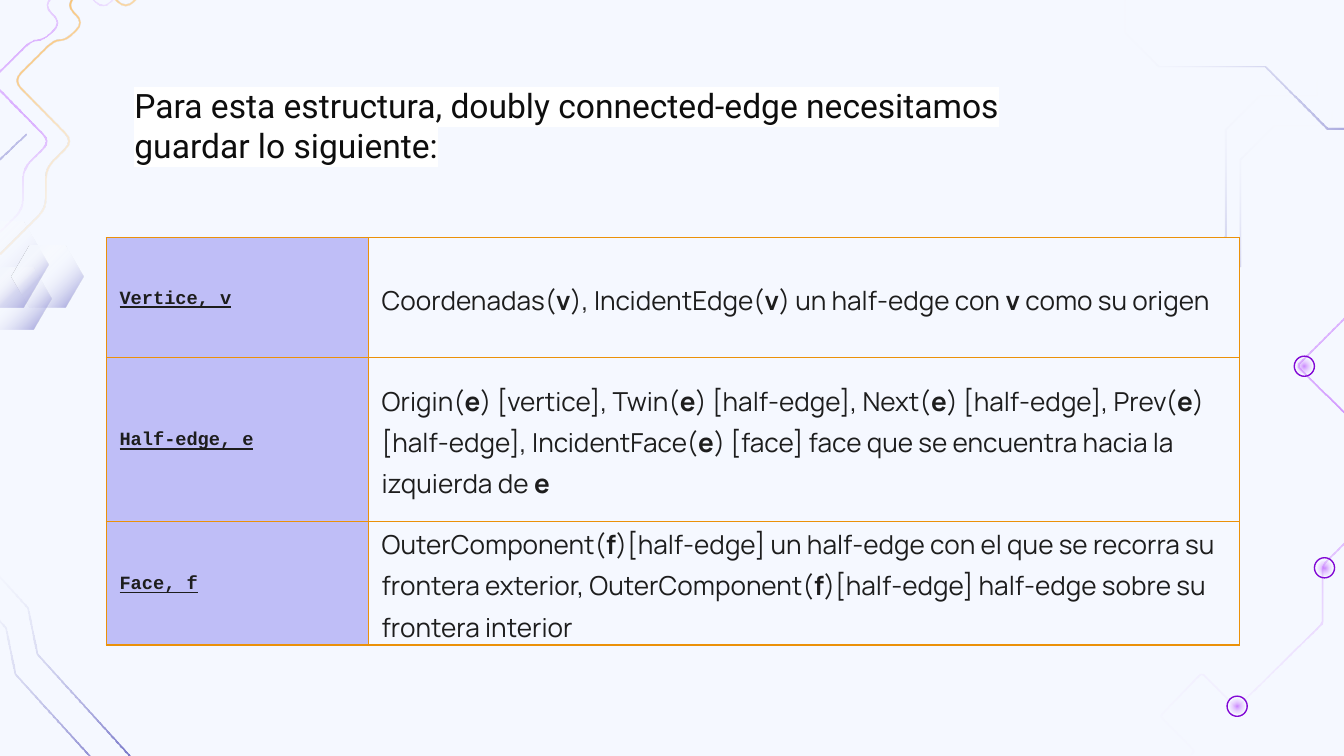
import math

from lxml import etree
from pptx import Presentation
from pptx.dml.color import RGBColor
from pptx.enum import shapes as kinds, text as txt
from pptx.oxml import parse_xml
from pptx.oxml.ns import nsdecls, qn
from pptx.util import Inches, Pt

PAPER = RGBColor(0xF5, 0xF8, 0xFF)
WHITE = RGBColor(0xFF, 0xFF, 0xFF)
NAVY = RGBColor(0x0C, 0x0A, 0x9E)
VIOLET = RGBColor(0x99, 0x00, 0xFF)
RING = RGBColor(0x82, 0x08, 0xD5)
ORANGE = RGBColor(0xEB, 0x91, 0x09)
AMBER = RGBColor(0xFF, 0x99, 0x00)
LILAC = RGBColor(0xBF, 0xBE, 0xF7)
INK = RGBColor(0x1D, 0x1D, 0x1D)
BLACK = RGBColor(0x0D, 0x0D, 0x0D)

# Gradients: stops of (position, colour, opacity), then an angle or None for radial
CLEAR = (100, WHITE, 0)
FADE = ([(0, NAVY, 100), CLEAR], 90)
SLANT = ([(0, NAVY, 37), CLEAR], 45)
GLOW = ([(0, VIOLET, 47), CLEAR], None)
AMBERS = ([(0, ORANGE, 100), (40, AMBER, 41), CLEAR], 45)
FACET = ([(0, PAPER, 100), (22, PAPER, 100), (45, WHITE, 0), (100, NAVY, 50)], 45)

# Centre lines in inches, relative to each wire's box
TRACE = [(1.54, 0), (1.14, .4), (1.14, 1.46), (.68, 1.92), (.68, 2.71),
         (.43, 2.96), (0, 2.96), (0, 3.09)]
BEND = [(.43, 0), (.18, .4), (.18, 1.63), (0, 1.93), (0, 2.47)]
HOOK = [(0, .31), (.3, .02), (.3, .59), (.52, .59), (.52, 1.11)]
SNAKE = [(.58, 0), (1.1, .53), (.93, .7), (.69, .47), (.49, .67), (.62, .8),
         (.49, .93), (.4, .93), (.1, 1.23), (.54, 1.68), (.34, 1.88),
         (.34, 2.18), (0, 2.52)]
CIRCUIT = [(3.44, 0), (2.82, .63), (3.16, .97), (2.07, 2.06), (1.72, 1.72),
           (1.02, 2.42), (1.86, 3.25), (1.21, 3.9), (1.21, 4.33), (.57, 4.96),
           (.31, 4.7), (0, 5.02), (.26, 5.28), (.13, 5.41), (.26, 5.54),
           (.21, 5.59), (.17, 5.54)]

ROWS = [
    (.89, "Vertice, v",
     "Coordenadas(*v*), IncidentEdge(*v*) un half-edge con *v* como su origen"),
    (1.22, "Half-edge, e",
     "Origin(*e*) [vertice], Twin(*e*) [half-edge], Next(*e*) [half-edge], "
     "Prev(*e*) [half-edge], IncidentFace(*e*) [face] face que se encuentra "
     "hacia la izquierda de *e*"),
    (.89, "Face, f",
     "OuterComponent(*f*)[half-edge] un half-edge con el que se recorra su "
     "frontera exterior, OuterComponent(*f*)[half-edge] half-edge sobre su "
     "frontera interior"),
]


def put(obj, **vals):
    for key, val in vals.items():
        setattr(obj, key, val)


def shade(shape, grad):
    """Fill with a gradient, without outline or shadow."""
    stops, angle = grad
    marks = "".join(
        f'<a:gs pos="{pos * 1000}"><a:srgbClr val="{hue}">'
        f'<a:alpha val="{alpha * 1000}"/></a:srgbClr></a:gs>'
        for pos, hue, alpha in stops)
    if angle is None:
        way = ('<a:path path="circle"><a:fillToRect l="50000" t="50000" '
               'r="50000" b="50000"/></a:path>')
    else:
        way = f'<a:lin ang="{angle * 60000}" scaled="0"/>'
    shape.shadow.inherit = False
    shape.line.fill.background()
    shape.fill.background()
    old = shape._element.spPr.find(qn("a:noFill"))
    old.getparent().replace(old, parse_xml(
        f'<a:gradFill {nsdecls("a")} rotWithShape="1">'
        f'<a:gsLst>{marks}</a:gsLst>{way}</a:gradFill>'))


def soften(pts, cut):
    """Round the inner corners of a polyline."""
    out = [pts[0]]
    for a, b, c in zip(pts, pts[1:], pts[2:]):
        ends = []
        for p in (a, c):
            size = math.dist(p, b)
            k = min(cut, size / 2) / size
            ends.append([b[i] + (p[i] - b[i]) * k for i in (0, 1)])
        for t in (0, .25, .5, .75, 1):
            out.append([(1 - t) ** 2 * ends[0][i] + 2 * t * (1 - t) * b[i]
                        + t * t * ends[1][i] for i in (0, 1)])
    return out + [pts[-1]]


def edge(pts, half):
    """Offset a polyline sideways, with mitred corners."""
    dirs = [math.atan2(q[1] - p[1], q[0] - p[0])
            for p, q in zip(pts, pts[1:]) if math.dist(p, q) > 1e-6]
    pts = [p for p, q in zip(pts, pts[1:]) if math.dist(p, q) > 1e-6] + [pts[-1]]
    out = []
    for (x, y), d, e in zip(pts, dirs[:1] + dirs, dirs + dirs[-1:]):
        turn = math.remainder(e - d, math.tau) / 2
        size = half / math.cos(turn)
        out.append((x - size * math.sin(d + turn), y + size * math.cos(d + turn)))
    return out


def wire(slide, box, pts, grad, spin=0, cut=0):
    """Draw a thin band along pts, which are relative to box (left, top)."""
    line = soften(pts, cut) if cut else pts
    rim = edge(line, .007) + edge(line, -.007)[::-1]
    rim = [(Inches(box[0] + x), Inches(box[1] + y)) for x, y in rim]
    pen = slide.shapes.build_freeform(*rim[0])
    pen.add_line_segments(rim[1:], close=True)
    shape = pen.convert_to_shape()
    shape.rotation = spin
    shade(shape, grad)


def node(slide, left, top):
    ring, core = [slide.shapes.add_shape(
        kinds.MSO_SHAPE.OVAL, Inches(left + gap), Inches(top + gap),
        Inches(.15 - 2 * gap), Inches(.15 - 2 * gap)) for gap in (0, .02)]
    ring.shadow.inherit = False
    ring.fill.background()
    ring.line.color.rgb = RING
    ring.line.width = Pt(.75)
    shade(core, GLOW)


def gem(slide, *box):
    shape = slide.shapes.add_shape(kinds.MSO_SHAPE.HEXAGON, *map(Inches, box))
    shape.adjustments[0] = .29
    shade(shape, FACET)


def decor(slide):
    for left, top, spin in ((8.37, .81, 180), (8.26, .59, 180), (9.02, -.96, 90)):
        wire(slide, (left, top), TRACE, FADE, spin)
    wire(slide, (8.63, .3), CIRCUIT, GLOW, cut=.03)
    for spot in ((9.13, 5.18), (9.78, 4.15), (9.63, 2.65)):
        node(slide, *spot)
    for spot in ((.3, 3.95), (.14, 4.1)):
        wire(slide, spot, BEND, FADE, 137.8)
    gem(slide, -.38, 1.65, .74, .64)
    for spot in ((-.15, 1.99), (.09, 1.83)):
        gem(slide, *spot, .53, .46)
    for left, grad in ((0, AMBERS), (-.17, GLOW)):
        wire(slide, (left, -.63), SNAKE, grad, cut=.08)
    wire(slide, (-.33, .19), HOOK, SLANT, 180)


def intro(slide, left, top, width, height):
    slide.shapes._spTree.remove(slide.shapes.title._element)
    body = slide.placeholders[1]
    put(body, left=Inches(left), top=Inches(top),
        width=Inches(width), height=Inches(height))
    slide.shapes._spTree.append(body._element)
    frame = body.text_frame
    put(frame, word_wrap=True, auto_size=txt.MSO_AUTO_SIZE.NONE,
        vertical_anchor=txt.MSO_ANCHOR.TOP,
        **{f"margin_{side}": Inches(.1) for side in ("left", "top", "right", "bottom")})
    para = frame.paragraphs[0]
    props = para._p.get_or_add_pPr()
    put(para, space_before=Pt(0), alignment=txt.PP_ALIGN.LEFT)
    props.set("marL", "0")
    props.set("indent", "0")
    etree.SubElement(props, qn("a:buNone"))
    run = para.add_run()
    run.text = ("Para esta estructura, doubly connected-edge necesitamos "
                "guardar lo siguiente:")
    put(run.font, name="Roboto", size=Pt(18))
    run.font.color.rgb = BLACK
    run._r.rPr.find(qn("a:latin")).addprevious(parse_xml(
        f'<a:highlight {nsdecls("a")}><a:srgbClr val="{WHITE}"/></a:highlight>'))


def border(cell):
    props = cell._tc.get_or_add_tcPr()
    for i, side in enumerate("LRTB"):
        props.insert(i, parse_xml(
            f'<a:ln{side} {nsdecls("a")} w="9525"><a:solidFill>'
            f'<a:srgbClr val="{ORANGE}"/></a:solidFill></a:ln{side}>'))


def write(cell, words, fill, after, **font):
    """Write words in a cell; parts between asterisks are bold."""
    put(cell, vertical_anchor=txt.MSO_ANCHOR.MIDDLE, margin_left=Inches(.1),
        margin_right=Inches(.1), margin_top=0, margin_bottom=0)
    cell.fill.solid()
    cell.fill.fore_color.rgb = fill
    border(cell)
    para = cell.text_frame.paragraphs[0]
    put(para, line_spacing=1.15, space_after=Pt(after))
    for i, part in enumerate(words.split("*")):
        if part:
            run = para.add_run()
            run.text = part
            put(run.font, **{"bold": i % 2 == 1, **font})
            run.font.color.rgb = INK


def records(slide, left, top, widths):
    high = sum(row[0] for row in ROWS)
    grid = slide.shapes.add_table(len(ROWS), 2, Inches(left), Inches(top),
                                  Inches(sum(widths)), Inches(high)).table
    put(grid, first_row=False, horz_banding=False)
    for col, width in zip(grid.columns, widths):
        col.width = Inches(width)
    for row, (tall, name, info) in zip(grid.rows, ROWS):
        row.height = Inches(tall)
        write(row.cells[0], name, LILAC, 0, name="Courier New", size=Pt(10),
              bold=True, underline=True)
        write(row.cells[1], info, PAPER, 16, name="Manrope", size=Pt(14))


def main():
    deck = Presentation()
    wide = Inches(10)
    put(deck, slide_width=wide, slide_height=wide * 9 // 16)
    slide = deck.slides.add_slide(deck.slide_layouts[1])
    slide.background.fill.solid()
    slide.background.fill.fore_color.rgb = PAPER
    decor(slide)
    intro(slide, .9, .53, 7.42, .61)
    records(slide, .79, 1.77, (1.95, 6.48))
    deck.save("out.pptx")


if __name__ == "__main__":
    main()
